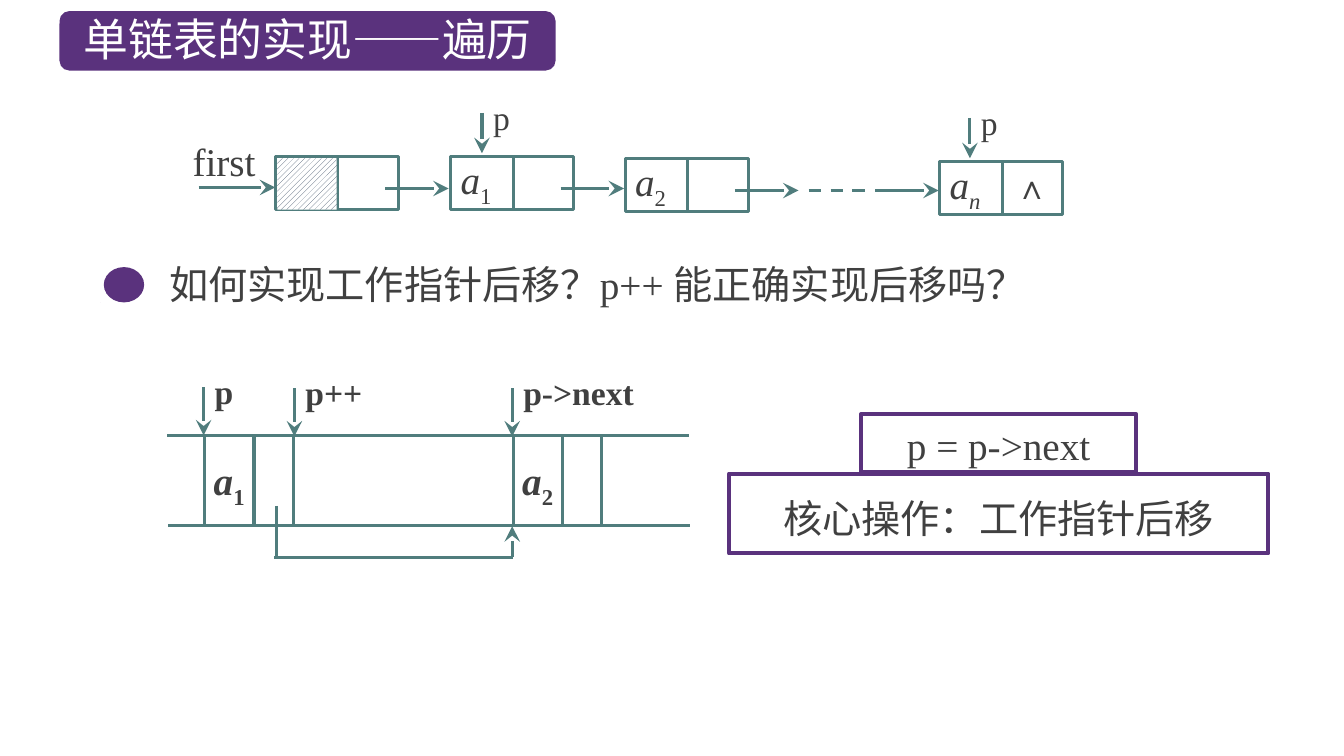
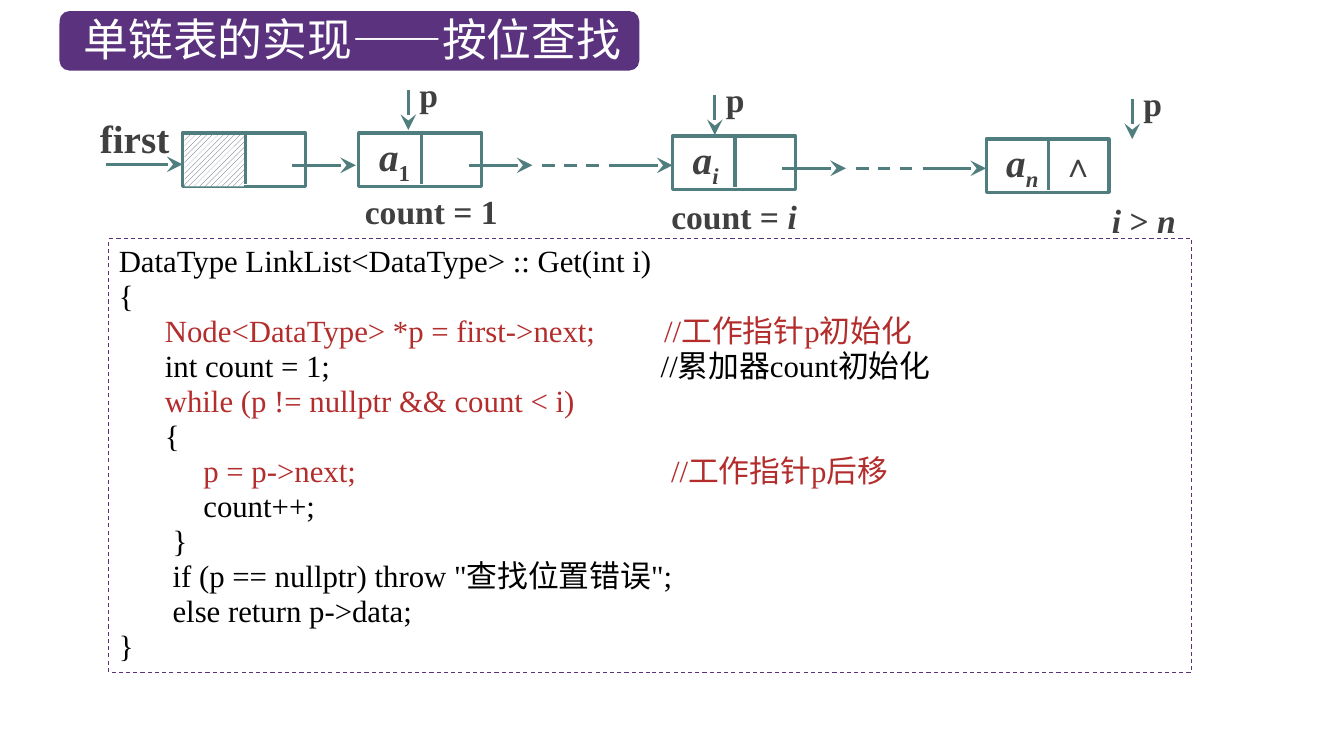
from math import cos, radians, sin

from lxml.etree import SubElement
from pptx import Presentation
from pptx.dml.color import RGBColor
from pptx.enum.dml import MSO_LINE, MSO_PATTERN
from pptx.enum.shapes import MSO_CONNECTOR, MSO_SHAPE
from pptx.enum.text import MSO_ANCHOR, MSO_AUTO_SIZE, PP_ALIGN
from pptx.oxml.ns import qn
from pptx.util import Inches, Pt

PURPLE = RGBColor(0x5A, 0x32, 0x7D)
TEAL = RGBColor(0x50, 0x7D, 0x7D)
SLATE = RGBColor(0x44, 0x54, 0x6A)
GREY = RGBColor(0x40, 0x40, 0x40)
RED = RGBColor(0xB4, 0x2D, 0x2D)
BLACK = RGBColor(0, 0, 0)
WHITE = RGBColor(0xFF, 0xFF, 0xFF)
SANS, SERIF = "Noto Sans CJK SC", "Times New Roman"

NODE_W, NODE_H, DIVIDER = 1.22, 0.53, 0.62
NO_INSET = (0, 0, 0, 0)
DEFAULT_INSET = (0.1, 0.05, 0.1, 0.05)

# Runs are (text, style) pairs; style letters: i italic, s subscript.
# Node: left, top, subscript, subscript style, what follows it.
TRAVERSE = {
    "header": (2.73, 1.55),
    "nodes": [(4.47, 1.55, "1", "s", "link"), (6.2, 1.57, "2", "s", "gap"),
              (9.32, 1.6, "n", "is", "end")],
    "bold": False, "indent": 0.1,
}
LOOKUP = {
    "header": (1.81, 1.32),
    "nodes": [(3.56, 1.32, "1", "s", "gap"), (6.67, 1.35, "i", "is", "gap"),
              (9.78, 1.38, "n", "is", "end")],
    "bold": True, "indent": 0.2,
}
# Pointer: x, top of the arrow, label, label width
LIST_POINTERS = [(4.78, 1.12, "p", 0.27), (9.62, 1.17, "p", 0.27)]
MEMORY_POINTERS = [(2.02, 3.84, "p", 0.27), (2.92, 3.85, "p++", 0.66), (5.08, 3.85, "p->next", 1.16)]
# Count: x, top of the arrow, caption runs, caption offset, caption width
COUNTS = [
    (4.05, 0.89, [("count = 1", "")], -0.53, 1.54),
    (7.09, 0.94, [("count = ", ""), ("i", "i")], -0.53, 1.54),
    (11.23, 0.98, [("i ", "i"), ("> ", ""), ("n", "i")], -0.3, 0.91),
]
MEMORY_CELLS = [(2.03, "1"), (5.09, "2")]
CODE = [
    ("DataType LinkList<DataType> :: Get(int i)", BLACK),
    ("{", BLACK),
    ("      Node<DataType> *p = first->next;         //工作指针p初始化", RED),
    ("      int count = 1;                                           //累加器count初始化", BLACK),
    ("      while (p != nullptr && count < i)", RED),
    ("      {", BLACK),
    ("           p = p->next;                                         //工作指针p后移", RED),
    ("           count++;", BLACK),
    ("       }", BLACK),
    ('       if (p == nullptr) throw "查找位置错误";', BLACK),
    ("       else return p->data;", BLACK),
    ("}", BLACK),
]


def set_frame(shape, inset=DEFAULT_INSET, anchor=MSO_ANCHOR.TOP, grow=False):
    frame = shape.text_frame
    frame.word_wrap = True
    frame.vertical_anchor = anchor
    frame.auto_size = MSO_AUTO_SIZE.SHAPE_TO_FIT_TEXT if grow else MSO_AUTO_SIZE.NONE
    (frame.margin_left, frame.margin_top,
     frame.margin_right, frame.margin_bottom) = map(Inches, inset)
    return frame


def write(para, runs, size, color=GREY, face=SERIF, bold=False,
          align=PP_ALIGN.LEFT, spacing=None):
    para.alignment = align
    if spacing:
        para.line_spacing = spacing
    font = para.font
    font.size, font.name, font.bold = Pt(size), face, bold
    font.color.rgb = color
    SubElement(para._p.pPr.find(qn("a:defRPr")), qn("a:ea"), typeface=SANS)
    for text, style in [(runs, "")] if isinstance(runs, str) else runs:
        span = para.add_run()
        span.text = text
        if "i" in style:
            span.font.italic = True
        if "s" in style:
            span._r.get_or_add_rPr().set("baseline", "-25000")


def add_label(page, at, runs, size, inset=DEFAULT_INSET, grow=True, **style):
    box = page.shapes.add_textbox(*map(Inches, at))
    write(set_frame(box, inset, grow=grow).paragraphs[0], runs, size, **style)


def paint(shape, fill=None, line=None, width=2.25):
    shape.shadow.inherit = False
    if fill is None:
        shape.fill.background()
    else:
        shape.fill.solid()
        shape.fill.fore_color.rgb = fill
    if line is None:
        shape.line.fill.background()
    else:
        shape.line.color.rgb = line
        shape.line.width = Pt(width)
    return shape


def add_box(page, at, fill=None, line=None, width=2.25, kind=MSO_SHAPE.RECTANGLE):
    return paint(page.shapes.add_shape(kind, *map(Inches, at)), fill, line, width)


def add_line(page, x1, y1, x2, y2, arrow=False, dash=False, color=TEAL, width=2.25):
    line = page.shapes.add_connector(MSO_CONNECTOR.STRAIGHT, *map(Inches, (x1, y1, x2, y2)))
    line.line.color.rgb = color
    line.line.width = Pt(width)
    if dash:
        line.line.dash_style = MSO_LINE.DASH
    if arrow:
        SubElement(line.line._get_or_add_ln(), qn("a:tailEnd"),
                   type="stealth", w="lg", len="lg")
    SubElement(line._element.spPr, qn("a:effectLst"))


def add_outline(page, points, closed):
    builder = page.shapes.build_freeform(*points[0], scale=Inches(1))
    builder.add_line_segments(points[1:], close=closed)
    return builder.convert_to_shape()


def add_title(page, text, band_width, text_width):
    add_box(page, (0.59, 0.11, band_width, 0.59), PURPLE, kind=MSO_SHAPE.ROUNDED_RECTANGLE)
    add_label(page, (0.73, 0.07, text_width, 0.64), text, 32, color=WHITE, face=SANS)


def add_link(page, x, y):
    add_line(page, x + 1.09, y + 0.32, x + 1.72, y + 0.32, arrow=True)


def add_cell_pair(page, x, y):
    box = add_box(page, (x, y, NODE_W, NODE_H), line=TEAL)
    add_line(page, x + DIVIDER, y, x + DIVIDER, y + 0.51)
    return box


def add_chain(page, header, nodes, bold, indent):
    """Draw the linked list: first pointer, hatched header, then the nodes."""
    x, y = header
    add_line(page, x - 0.76, y + 0.31, x, y + 0.31, arrow=True)
    add_label(page, (x - 0.82, y - 0.19, 0.83, 0.51), "first", 28,
              inset=(0, 0, 0, 0.04), grow=False, bold=bold)
    add_cell_pair(page, x, y)
    add_link(page, x, y)
    hatch = add_box(page, (x + 0.02, y + 0.02, 0.59, 0.51))
    hatch.fill.patterned()
    hatch.fill.pattern = MSO_PATTERN.WIDE_UPWARD_DIAGONAL
    hatch.fill.fore_color.rgb, hatch.fill.back_color.rgb = SLATE, WHITE

    for x, y, index, style, follow in nodes:
        frame = set_frame(add_cell_pair(page, x, y), (indent, 0, 0, 0.08))
        write(frame.paragraphs[0], [("a", "i"), (index, style)], 28, bold=bold, spacing=0.9)
        if follow == "end":
            add_label(page, (x + 0.65, y, 0.57, 0.49), "∧", 24,
                      inset=(0.1, 0.05, 0.1, 0.04), grow=False, bold=bold)
            continue
        add_link(page, x, y)
        if follow == "gap":
            add_line(page, x + 1.82, y + 0.32, x + 2.44, y + 0.32, dash=True)
            add_line(page, x + 2.48, y + 0.32, x + 3.11, y + 0.32, arrow=True)


def add_pointer(page, x, top, label, width, length=0.4, bold=True):
    add_line(page, x, top, x, top + length, arrow=True)
    add_label(page, (x + 0.11, top - 0.16, width, 0.4), label, 24, inset=NO_INSET, bold=bold)


def add_clock(page):
    middle = 1.23
    for side in (-1, 1):
        bell = [(middle + side * (0.17 - 0.085 * cos(radians(angle))),
                 2.685 + 0.085 * sin(radians(angle))) for angle in range(143, 328, 8)]
        paint(add_outline(page, bell, True), PURPLE)
    add_box(page, (1.03, 2.65, 0.4, 0.35), PURPLE, kind=MSO_SHAPE.OVAL)
    hands = [(middle, 2.7), (middle, 2.82), (1.3, 2.82)]
    legs = [(1.08, 3.07), (1.12, 3.01), (1.34, 3.01), (1.38, 3.07)]
    for points, color, width in ((hands, WHITE, 2.25), (legs, PURPLE, 1.25)):
        paint(add_outline(page, points, False), line=color, width=width)


def add_memory(page):
    """Draw the two nodes as cells on a strip of memory."""
    top, bottom, route = 4.32, 5.21, 5.53
    for y, left in ((top, 1.66), (bottom, 1.67)):
        add_line(page, left, y, left + 5.17, y)
    for x, index in MEMORY_CELLS:
        for offset in (0, 0.49, 0.88):
            add_line(page, x + offset, top, x + offset, bottom)
        add_label(page, (x + 0.09, 4.53, 0.44, 0.47), [("a", "i"), (index, "s")], 28,
                  inset=NO_INSET, bold=True)
    add_line(page, 2.74, 5.02, 2.74, route)
    add_line(page, 2.72, route, 5.09, route)
    add_line(page, 5.08, route, 5.08, 5.22, arrow=True)
    for pointer in MEMORY_POINTERS:
        add_pointer(page, *pointer, length=0.48)


def build_traverse(page):
    add_title(page, "单链表的实现——遍历", 4.92, 4.77)
    add_chain(page, **TRAVERSE)
    for pointer in LIST_POINTERS:
        add_pointer(page, *pointer, bold=False)
    add_clock(page)
    add_label(page, (1.58, 2.53, 8.95, 0.57), "如何实现工作指针后移？p++ 能正确实现后移吗？", 28)
    add_memory(page)
    core = add_box(page, (7.23, 4.7, 5.35, 0.79), line=PURPLE, width=3)
    write(set_frame(core, anchor=MSO_ANCHOR.MIDDLE).paragraphs[0], "核心操作：工作指针后移", 28,
          face=SANS, align=PP_ALIGN.CENTER, spacing=Pt(40))
    step = add_box(page, (8.54, 4.11, 2.73, 0.57), line=PURPLE, width=3)
    write(set_frame(step, grow=True).paragraphs[0], "p = p->next", 28,
          align=PP_ALIGN.CENTER, spacing=Pt(35))


def build_lookup(page):
    add_title(page, "单链表的实现——按位查找", 5.75, 6.22)
    add_chain(page, **LOOKUP)
    for x, top, caption, offset, width in COUNTS:
        add_pointer(page, x, top, "p", 0.27)
        add_label(page, (x + offset, top + 0.95, width, 0.5), caption, 24, bold=True)
    code_box = add_box(page, (1.08, 2.37, 10.74, 4.3), line=PURPLE, width=0.75)
    code_box.line.dash_style = MSO_LINE.DASH
    frame = set_frame(code_box, grow=True)
    for number, (text, color) in enumerate(CODE):
        para = frame.add_paragraph() if number else frame.paragraphs[0]
        write(para, text, 22, color=color, spacing=Pt(25))


def main():
    deck = Presentation()
    deck.slide_width, deck.slide_height = Inches(13.33), Inches(7.5)
    for build in (build_traverse, build_lookup):
        build(deck.slides.add_slide(deck.slide_layouts[6]))
    deck.save("out.pptx")


if __name__ == "__main__":
    main()
